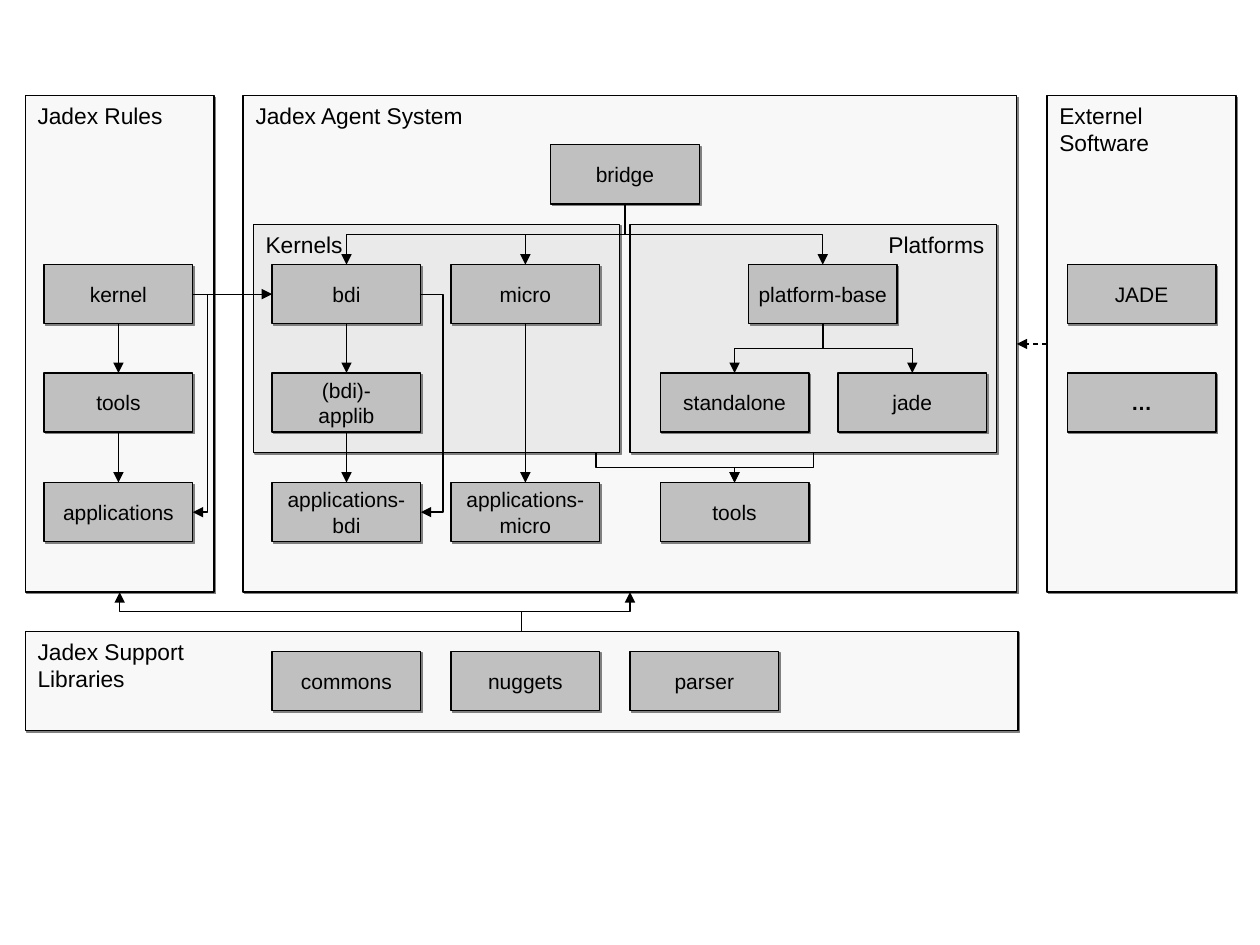
from lxml import etree
from pptx import Presentation
from pptx import util as u
from pptx.dml.color import RGBColor
from pptx.enum import dml, shapes, text
from pptx.oxml.ns import qn

NODE_WIDTH, NODE_HEIGHT = 1.18, 0.47
ROWS = [2.1, 2.96, 3.83]
RULES_X, BDI_X, MICRO_X, TOOLS_X, JADE_X, EXTERNAL_X = 0.35, 2.16, 3.58, 5.24, 6.65, 8.47
TOP, BOTTOM, LEFT, RIGHT = 0, 2, 1, 3


def color(value):
    return RGBColor.from_string(value)


def add_shadow(shape):
    shape.shadow.inherit = False
    effects = shape._element.spPr.find(qn("a:effectLst"))
    shadow = etree.SubElement(effects, qn("a:outerShdw"), dist="17780", dir="2700000")
    etree.SubElement(shadow, qn("a:srgbClr"), val="808080")


def add_box(page, kind, place, label, fill, size, align, bold=False):
    box = page.shapes.add_shape(kind, *map(u.Inches, place))
    box.fill.solid()
    box.fill.fore_color.rgb = color(fill)
    box.line.color.rgb = color("000000")
    box.line.width = u.Pt(0.75)
    add_shadow(box)
    frame = box.text_frame
    for index, words in enumerate(label.split("\n")):
        para = frame.add_paragraph() if index else frame.paragraphs[0]
        para.alignment = align
        span = para.add_run()
        span.text = words
        span.font.name = "Arial"
        span.font.size = u.Pt(size)
        span.font.bold = bold
        span.font.color.rgb = color("000000")
    return box


def add_panel(page, place, label, fill="F8F8F8", align=text.PP_ALIGN.LEFT):
    panel = add_box(page, shapes.MSO_SHAPE.RECTANGLE, place, label, fill, 13, align)
    panel.text_frame.word_wrap = True
    panel.text_frame.vertical_anchor = text.MSO_ANCHOR.TOP
    return panel


def add_node(page, left, top, label, bold=False):
    place = (left, top, NODE_WIDTH, NODE_HEIGHT)
    node = add_box(page, shapes.MSO_SHAPE.ROUNDED_RECTANGLE, place, label,
                   "C0C0C0", 12, text.PP_ALIGN.CENTER, bold)
    node.adjustments[0] = 0
    node.text_frame.word_wrap = False
    node.text_frame.vertical_anchor = text.MSO_ANCHOR.MIDDLE
    return node


def add_column(page, left, labels):
    return [add_node(page, left, top, label) for top, label in zip(ROWS, labels)]


def style_arrow(arrow, dashed=False):
    arrow.line.color.rgb = color("000000")
    arrow.line.width = u.Pt(0.75)
    if dashed:
        arrow.line.dash_style = dml.MSO_LINE.DASH
    properties = arrow._element.spPr
    etree.SubElement(properties.find(qn("a:ln")), qn("a:tailEnd"), type="triangle")
    etree.SubElement(properties, qn("a:effectLst"))


def join(page, source, target, start=BOTTOM, end=TOP, dashed=False):
    arrow = page.shapes.add_connector(shapes.MSO_CONNECTOR.STRAIGHT, 0, 0, 0, 0)
    arrow.begin_connect(source, start)
    arrow.end_connect(target, end)
    style_arrow(arrow, dashed)


def add_elbow(page, *ends):
    arrow = page.shapes.add_connector(shapes.MSO_CONNECTOR.ELBOW, *map(int, ends))
    style_arrow(arrow)
    return arrow


def middle(shape, side):
    return shape.left + shape.width / 2, shape.top + (shape.height if side == BOTTOM else 0)


def branch(page, start, end):
    (x1, y1), (x2, y2) = start, end
    rightward, upward = x2 > x1, y2 < y1
    across = abs(y2 - y1) / 2 * (1 if rightward else -1)
    along = abs(x2 - x1) / 2 * (1 if upward else -1)
    x, y = (x1 + x2) / 2, (y1 + y2) / 2
    arrow = add_elbow(page, x + across, y + along, x - across, y - along)
    turn = 270 if rightward != upward else 90
    arrow._element.spPr.find(qn("a:xfrm")).set("rot", str(turn * 60000))


def bypass(page, source, target, reach):
    edge, span = source.left + source.width, u.Inches(0.01)
    arrow = add_elbow(page, edge - span, source.top + source.height / 2,
                      edge, target.top + target.height / 2)
    guides = arrow._element.spPr.find(qn("a:prstGeom")).get_or_add_avLst()
    bend = round((u.Inches(reach) + span) / span * 100000)
    etree.SubElement(guides, qn("a:gd"), name="adj1", fmla=f"val {bend}")


def main():
    deck = Presentation()
    deck.slide_width, deck.slide_height = u.Inches(10), u.Inches(7.5)
    page = deck.slides.add_slide(deck.slide_layouts[6])

    agents = add_panel(page, (1.93, 0.76, 6.14, 3.94), "Jadex Agent System")
    platforms = add_panel(page, (5, 1.78, 2.91, 1.81), "Platforms", "EAEAEA",
                          text.PP_ALIGN.RIGHT)
    add_panel(page, (2.01, 1.78, 2.91, 1.81), "Kernels", "EAEAEA")
    support = add_panel(page, (0.2, 5.01, 7.88, 0.79), "Jadex Support\nLibraries")
    rules = add_panel(page, (0.2, 0.76, 1.5, 3.94), "Jadex Rules")
    external = add_panel(page, (8.31, 0.76, 1.5, 3.94), "Externel\nSoftware")

    for index, label in enumerate(["commons", "nuggets", "parser"]):
        add_node(page, BDI_X + 1.42 * index, 5.17, label)
    rule_nodes = add_column(page, RULES_X, ["kernel", "tools", "applications"])
    bdi_nodes = add_column(page, BDI_X, ["bdi", "(bdi)-\napplib", "applications-\nbdi"])
    bridge = add_node(page, 4.37, 1.15, "bridge")
    micro = add_node(page, MICRO_X, ROWS[0], "micro")
    micro_apps = add_node(page, MICRO_X, ROWS[2], "applications-\nmicro")
    base = add_node(page, 5.94, ROWS[0], "platform-base")
    standalone = add_node(page, TOOLS_X, ROWS[1], "standalone")
    jade = add_node(page, JADE_X, ROWS[1], "jade")
    tools = add_node(page, TOOLS_X, ROWS[2], "tools")
    add_node(page, EXTERNAL_X, ROWS[0], "JADE")
    add_node(page, EXTERNAL_X, ROWS[1], "…", bold=True)

    for column, reach in [(rule_nodes, 0.12), (bdi_nodes, 0.18)]:
        for source, target in zip(column, column[1:]):
            join(page, source, target)
        bypass(page, column[0], column[-1], reach)
    join(page, micro, micro_apps)
    join(page, rule_nodes[0], bdi_nodes[0], RIGHT, LEFT)
    join(page, external, agents, LEFT, RIGHT, dashed=True)

    for source, targets in [(bridge, [micro, bdi_nodes[0], base]), (base, [jade, standalone])]:
        for target in targets:
            branch(page, middle(source, BOTTOM), middle(target, TOP))
    for target in [agents, rules]:
        branch(page, middle(support, TOP), middle(target, BOTTOM))
    platform_exit = middle(platforms, BOTTOM)
    kernel_exit = (u.Inches(4.73), platform_exit[1])
    for start in [platform_exit, kernel_exit]:
        branch(page, start, middle(tools, TOP))

    deck.save("out.pptx")


if __name__ == "__main__":
    main()
